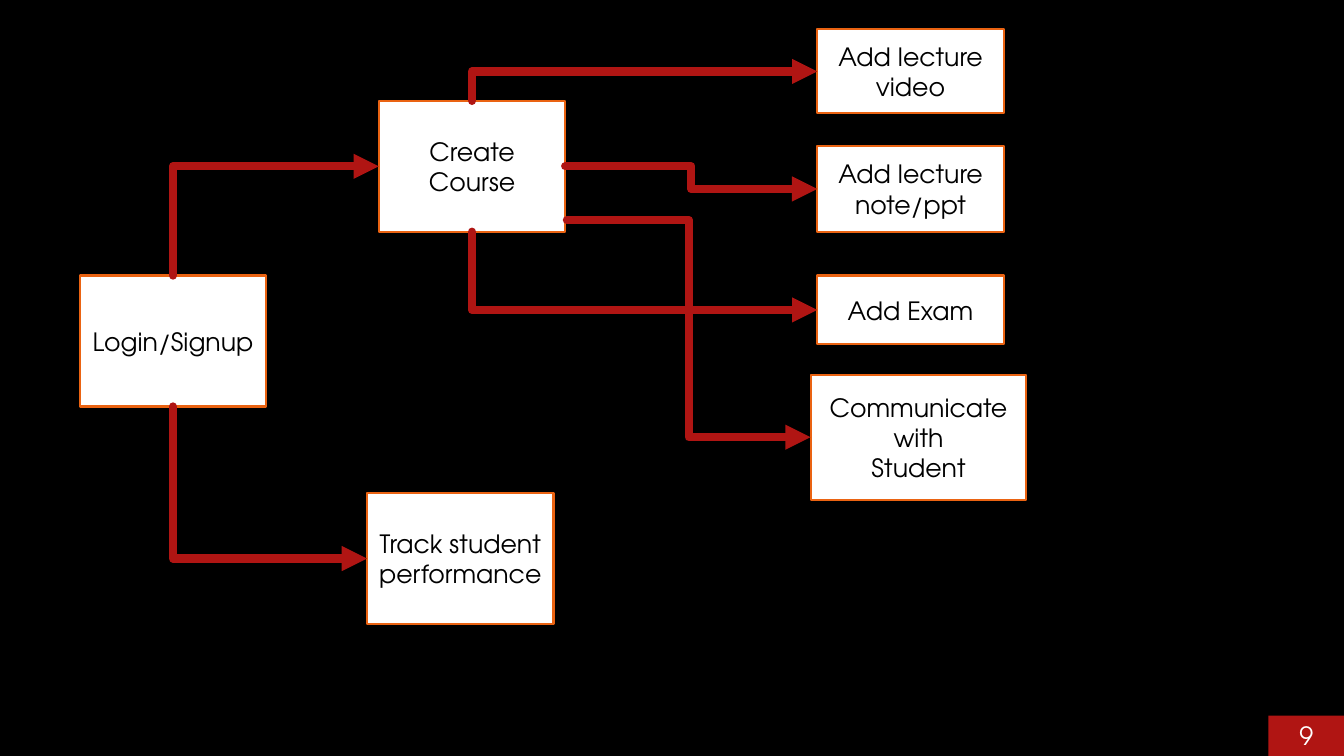
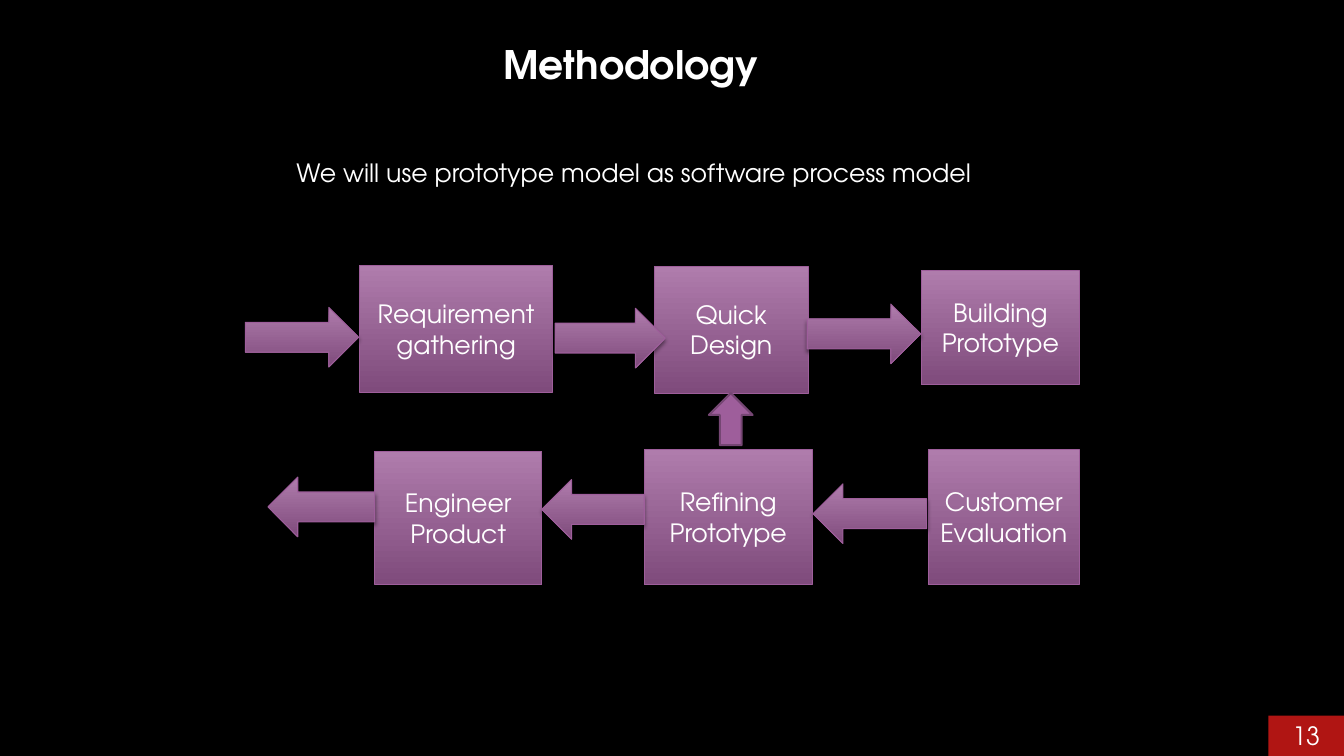
from lxml import etree
from pptx import Presentation
from pptx.dml.color import RGBColor
from pptx.enum.shapes import MSO_CONNECTOR, MSO_SHAPE
from pptx.enum.text import MSO_ANCHOR, PP_ALIGN
from pptx.oxml.ns import qn
from pptx.util import Inches, Pt

RECTANGLE = MSO_SHAPE.RECTANGLE
RIGHT_ARROW = MSO_SHAPE.RIGHT_ARROW
LEFT_ARROW = MSO_SHAPE.LEFT_ARROW
UP_ARROW = MSO_SHAPE.UP_ARROW
ELBOW = MSO_CONNECTOR.ELBOW
TOP_ANCHOR = MSO_ANCHOR.TOP
MIDDLE_ANCHOR = MSO_ANCHOR.MIDDLE
ALIGN_LEFT = PP_ALIGN.LEFT
ALIGN_CENTER = PP_ALIGN.CENTER

BLACK = RGBColor(0x00, 0x00, 0x00)
WHITE = RGBColor(0xFF, 0xFF, 0xFF)
RED = RGBColor(0xB0, 0x15, 0x13)
ORANGE = RGBColor(0xEA, 0x63, 0x12)
PURPLE = RGBColor(0x9E, 0x5E, 0x9B)
LIGHT_PURPLE = RGBColor(0xAF, 0x7C, 0xAC)
DARK_PURPLE = RGBColor(0x7F, 0x4B, 0x7C)
DEEP_PURPLE = RGBColor(0x75, 0x46, 0x73)

FONT = "TeX Gyre Adventor"
BODY_SIZE = 18
TITLE_SIZE = 28
COLUMNS, ROWS = 160, 90
TITLE_ONLY, BLANK = 5, 6
TOP, LEFT, BOTTOM, RIGHT = range(4)


class Deck:
    def __init__(self):
        self.presentation = Presentation()
        self.presentation.slide_width = Inches(13.33)
        self.presentation.slide_height = Inches(7.5)
        background = self.presentation.slide_master.background.fill
        background.solid()
        background.fore_color.rgb = BLACK
        self.slide = None

    def x(self, columns):
        return round(self.presentation.slide_width * columns / COLUMNS)

    def y(self, rows):
        return round(self.presentation.slide_height * rows / ROWS)

    def area(self, column, row, width, height):
        return self.x(column), self.y(row), self.x(width), self.y(height)

    def new_slide(self, number, layout):
        layouts = self.presentation.slide_layouts
        self.slide = self.presentation.slides.add_slide(layouts[layout])
        band = self.shape(RECTANGLE, (151, 85.2, 9, 4.8))
        self.paint(band, RED)
        self.set_text(band, [number], WHITE, anchor=TOP_ANCHOR)

    def set_text(self, shape, lines, color, size=BODY_SIZE, bold=False,
                 alignment=ALIGN_CENTER, anchor=MIDDLE_ANCHOR):
        frame = shape.text_frame
        frame.word_wrap = True
        frame.vertical_anchor = anchor
        for index, line in enumerate(lines):
            paragraph = frame.add_paragraph() if index else frame.paragraphs[0]
            paragraph.alignment = alignment
            run = paragraph.add_run()
            run.text = line
            run.font.name = FONT
            run.font.size = Pt(size)
            run.font.bold = bold
            run.font.color.rgb = color

    def title(self, text, place):
        shape = self.slide.shapes.title
        shape.left, shape.top, shape.width, shape.height = self.area(*place)
        self.set_text(shape, [text], WHITE, TITLE_SIZE, True, ALIGN_LEFT, TOP_ANCHOR)

    def text(self, text, place):
        box = self.slide.shapes.add_textbox(*self.area(*place))
        self.set_text(box, [text], WHITE, alignment=ALIGN_LEFT, anchor=TOP_ANCHOR)

    def shape(self, kind, place):
        shape = self.slide.shapes.add_shape(kind, *self.area(*place))
        shape.shadow.inherit = False
        return shape

    def paint(self, shape, fill, line=None, width=0):
        shape.fill.solid()
        shape.fill.fore_color.rgb = fill
        self.outline(shape, line, width)

    def outline(self, shape, color, width):
        if color is None:
            shape.line.fill.background()
        else:
            shape.line.color.rgb = color
            shape.line.width = Pt(width)

    def task(self, lines, place):
        box = self.shape(RECTANGLE, place)
        self.paint(box, WHITE, ORANGE, 1.5)
        self.set_text(box, lines, BLACK)
        return box

    def glossy(self, kind, place, text=None):
        shape = self.shape(kind, place)
        shape.fill.gradient()
        shape.fill.gradient_angle = 270
        colors = LIGHT_PURPLE, DARK_PURPLE
        for position, (stop, color) in enumerate(zip(shape.fill.gradient_stops, colors)):
            stop.position = position
            stop.color.rgb = color
        self.outline(shape, PURPLE, 0.75)
        effects = shape._element.spPr.find(qn("a:effectLst"))
        shadow = etree.SubElement(
            effects, qn("a:outerShdw"), blurRad=str(Pt(3)), dist=str(Pt(2)),
            dir="5400000", algn="ctr", rotWithShape="0")
        shade = etree.SubElement(shadow, qn("a:srgbClr"), val=str(BLACK))
        etree.SubElement(shade, qn("a:alpha"), val="45000")
        if text:
            self.set_text(shape, [text], WHITE)

    def elbow(self, target, source=None, side=RIGHT, start=(0, 0)):
        column, row = start
        connector = self.slide.shapes.add_connector(
            ELBOW, target.left, target.top + target.height // 2,
            self.x(column), self.y(row))
        connector.begin_connect(target, LEFT)
        if source is not None:
            connector.end_connect(source, side)
        connector.line.color.rgb = RED
        connector.line.width = Pt(6)
        properties = connector._element.spPr
        if side in (TOP, BOTTOM):
            properties.find(qn("a:prstGeom")).set("prst", "bentConnector2")
        line = properties.find(qn("a:ln"))
        line.set("cap", "rnd")
        etree.SubElement(line, qn("a:round"))
        etree.SubElement(line, qn("a:headEnd"), type="triangle")
        etree.SubElement(properties, qn("a:effectLst"))


def build_course_flow(deck):
    deck.new_slide("9", BLANK)
    width, height = 22.2, 15.6
    action_column = 97.3
    login = deck.task(["Login/Signup"], (9.5, 32.8, width, height))
    course = deck.task(["Create Course"], (45.1, 12, width, height))
    video, note, exam = [
        deck.task([text], (action_column, row, width, rows))
        for text, row, rows in (
            ("Add lecture video", 3.5, 10),
            ("Add lecture note/ppt", 17.4, 10.2),
            ("Add Exam", 32.8, 8.2),
        )
    ]
    communicate = deck.task(["Communicate with", "Student"], (96.5, 44.6, 25.7, 14.9))
    track = deck.task(["Track student performance"], (43.7, 58.7, width, height))
    for target, source, side in (
        (course, login, TOP),
        (track, login, BOTTOM),
        (video, course, TOP),
        (note, course, RIGHT),
        (exam, course, BOTTOM),
    ):
        deck.elbow(target, source, side)
    deck.elbow(communicate, start=(67.5, 26.2))


def build_methodology(deck):
    deck.new_slide("13", TITLE_ONLY)
    deck.title("Methodology", (58.7, 4.2, 34.4, 6.8))
    deck.text("We will use prototype model as software process model",
              (34.1, 18.2, 87.6, 4.8))
    for text, place in (
        ("Requirement gathering", (42.8, 31.6, 23, 15.1)),
        ("Quick Design", (77.9, 31.7, 18.3, 15.1)),
        ("Building Prototype", (109.7, 32.2, 18.8, 13.6)),
        ("Customer Evaluation", (110.5, 53.5, 18, 16.1)),
        ("Refining Prototype", (76.7, 53.5, 20, 16.1)),
        ("Engineer Product", (44.6, 53.7, 19.9, 15.9)),
    ):
        deck.glossy(RECTANGLE, place, text)
    for kind, column, row, width in (
        (RIGHT_ARROW, 29.2, 36.6, 13.5),
        (RIGHT_ARROW, 66.1, 36.7, 13.1),
        (RIGHT_ARROW, 96.1, 36.2, 13.5),
        (LEFT_ARROW, 96.8, 57.6, 13.5),
        (LEFT_ARROW, 64.5, 57.1, 12.2),
        (LEFT_ARROW, 31.9, 56.8, 12.7),
    ):
        deck.glossy(kind, (column, row, width, 7.1))
    refine_arrow = deck.shape(UP_ARROW, (84.4, 46.8, 5.2, 6.2))
    deck.paint(refine_arrow, PURPLE, DEEP_PURPLE, 1.5)


def main():
    deck = Deck()
    build_course_flow(deck)
    build_methodology(deck)
    deck.presentation.save("out.pptx")


if __name__ == "__main__":
    main()
